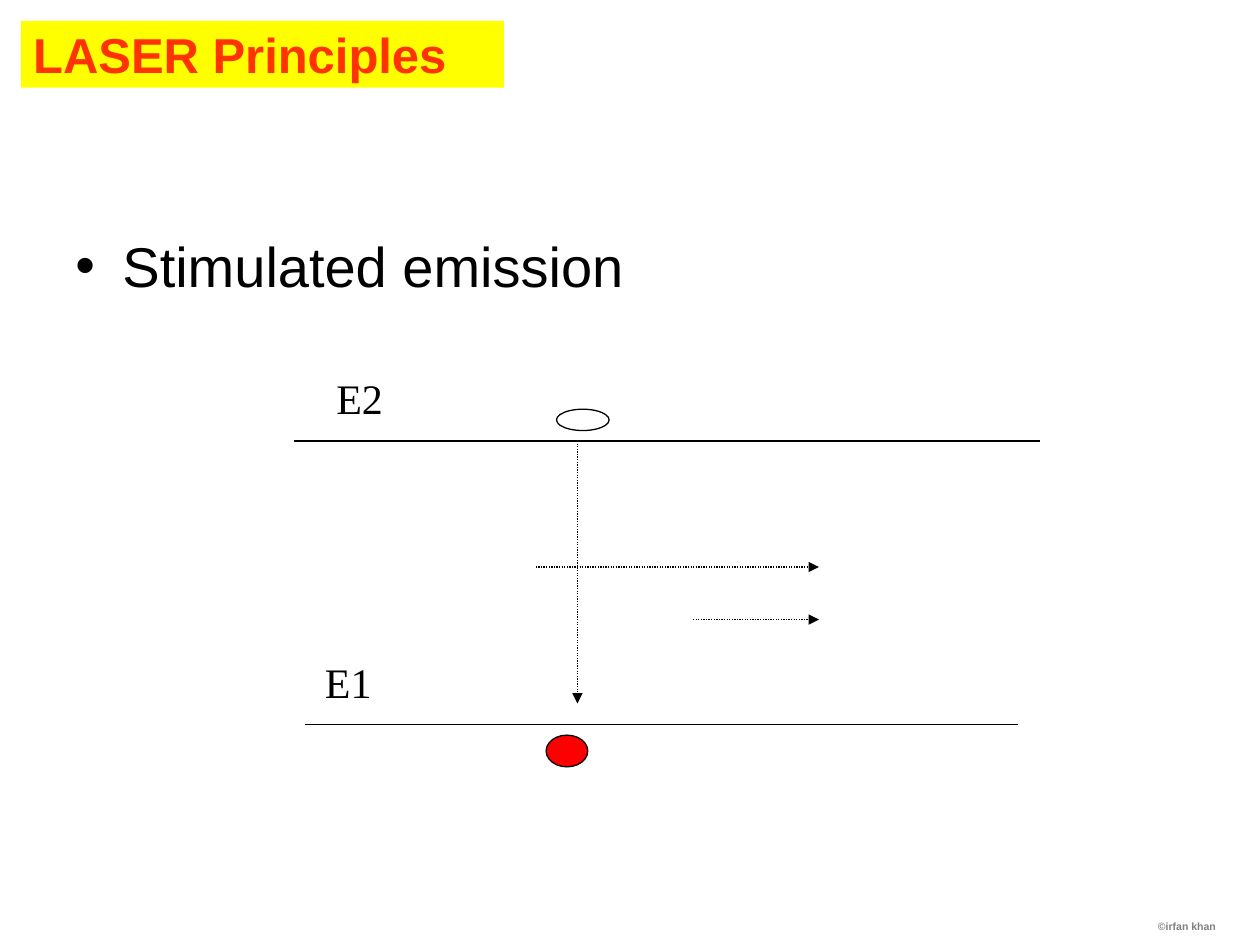
import pptx
import pptx.util
import pptx.dml.color
import pptx.enum.dml
import pptx.enum.shapes
import pptx.enum.text
import pptx.oxml
import pptx.oxml.ns

Cm = pptx.util.Cm
Pt = pptx.util.Pt
Shape = pptx.enum.shapes.MSO_SHAPE
Align = pptx.enum.text.PP_ALIGN
Anchor = pptx.enum.text.MSO_ANCHOR
BLACK = "000000"


def paint(code):
    return pptx.dml.color.RGBColor.from_string(code)


def add_tag(node, name, **attrs):
    tag = pptx.oxml.parse_xml(f"<a:{name} {pptx.oxml.ns.nsdecls('a')}/>")
    for key, value in attrs.items():
        tag.set(key, value)
    node.append(tag)


class Board:
    styles = {
        "title": {"name": "Arial", "size": Pt(28), "bold": True},
        "point": {"name": "Arial", "size": Pt(32)},
        "label": {"name": "Times New Roman", "size": Pt(24)},
        "credit": {"name": "Arial", "size": Pt(6), "bold": True},
    }
    inks = {"title": "FF3300", "credit": "808080"}

    def __init__(self, slide):
        self.slide = slide

    def letter(self, shape, words, style, align=Align.LEFT, wrap=True, bullet=False):
        frame = shape.text_frame
        frame.word_wrap = wrap
        para = frame.paragraphs[0]
        para.text = words
        para.alignment = align
        if bullet:
            props = para._p.get_or_add_pPr()
            props.set("marL", str(Cm(0.95)))
            props.set("indent", str(Cm(-0.95)))
            add_tag(props, "buFont", typeface="Arial")
            add_tag(props, "buChar", char="•")
        for key, value in self.styles[style].items():
            setattr(para.font, key, value)
        para.font.color.rgb = paint(self.inks.get(style, BLACK))

    def text(self, box, words, style, **opts):
        shape = self.slide.shapes.add_textbox(*map(Cm, box))
        self.letter(shape, words, style, **opts)

    def shape(self, kind, box, fill=None, edge=None):
        shape = self.slide.shapes.add_shape(kind, *map(Cm, box))
        shape.shadow.inherit = False
        if fill:
            shape.fill.solid()
            shape.fill.fore_color.rgb = paint(fill)
        else:
            shape.fill.background()
        if edge:
            shape.line.color.rgb = paint(edge)
            shape.line.width = Pt(0.75)
        else:
            shape.line.fill.background()
        return shape

    def banner(self, box, words, fill):
        shape = self.shape(Shape.RECTANGLE, box, fill)
        shape.text_frame.vertical_anchor = Anchor.MIDDLE
        self.letter(shape, words, "title")

    def line(self, ends, arrow=False):
        kind = pptx.enum.shapes.MSO_CONNECTOR.STRAIGHT
        line = self.slide.shapes.add_connector(kind, *map(Cm, ends))
        line.line.color.rgb = paint(BLACK)
        line.line.width = Pt(0.75)
        if arrow:
            line.line.dash_style = pptx.enum.dml.MSO_LINE.ROUND_DOT
            edge = line._element.spPr.find(pptx.oxml.ns.qn("a:ln"))
            add_tag(edge, "tailEnd", type="triangle")
        add_tag(line._element.spPr, "effectLst")


def main():
    deck = pptx.Presentation()
    deck.slide_width, deck.slide_height = Cm(25.4), Cm(19.05)
    board = Board(deck.slides.add_slide(deck.slide_layouts[6]))

    board.text((16.71, 18.42, 8.05, 0.5), "©irfan khan", "credit", align=Align.RIGHT)
    board.text((1.27, 4.55, 22.86, 12.5), "Stimulated emission", "point", bullet=True)

    upper, lower = 8.89, 14.61
    levels = [("E2", 6.53, 5.93, 20.96, upper), ("E1", 6.3, 6.15, 20.52, lower)]
    for name, left, start, end, y in levels:
        board.line((start, y, end, y))
        board.text((left, y - 1.5, 1.45, 1.27), name, "label", wrap=False)

    drop, tip = 11.64, 16.51
    board.line((drop, upper, drop, 14.18), arrow=True)
    for start, y in [(10.8, 11.43), (13.97, 12.49)]:
        board.line((start, y, tip, y), arrow=True)

    board.shape(Shape.OVAL, (11.22, 8.25, 1.06, 0.43), edge=BLACK)
    board.shape(Shape.OVAL, (11.01, 14.82, 0.84, 0.64), "FF0000", BLACK)
    board.banner((0.42, 0.42, 9.74, 1.35), "LASER Principles", "FFFF00")

    deck.save("out.pptx")


if __name__ == "__main__":
    main()
